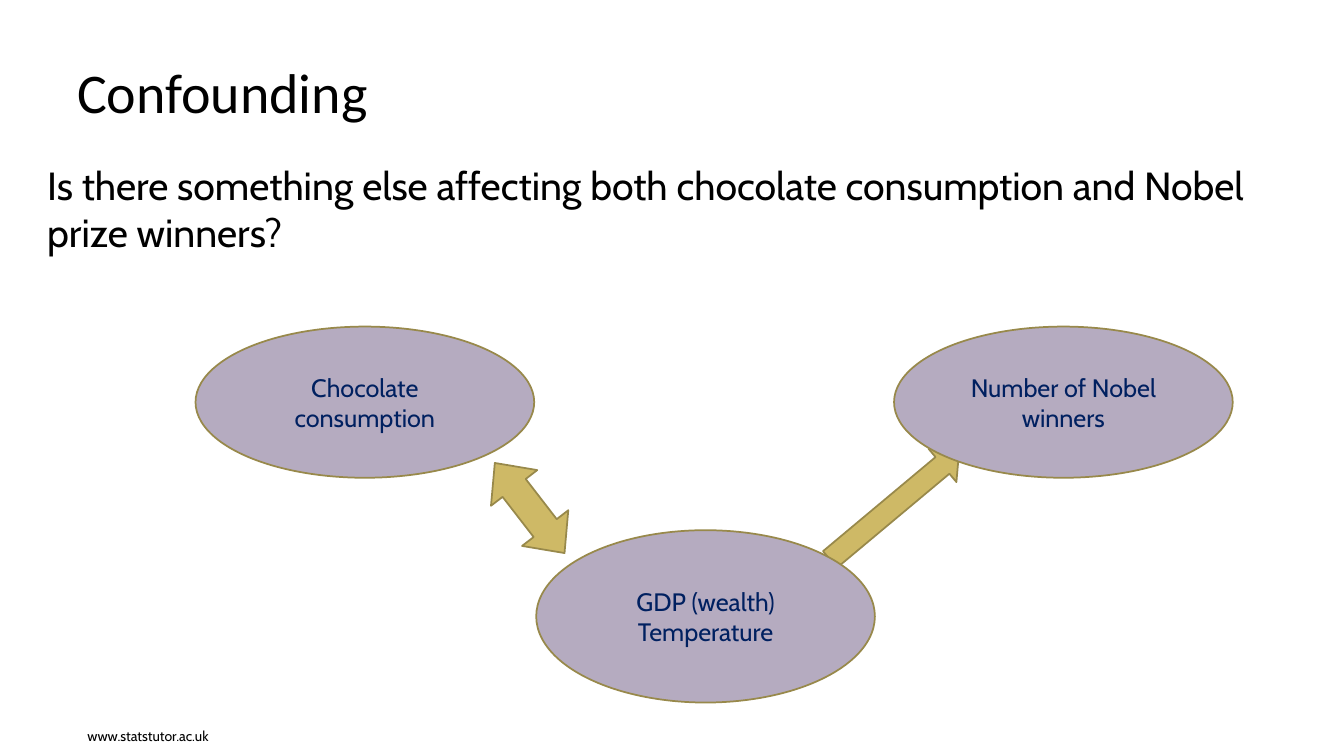
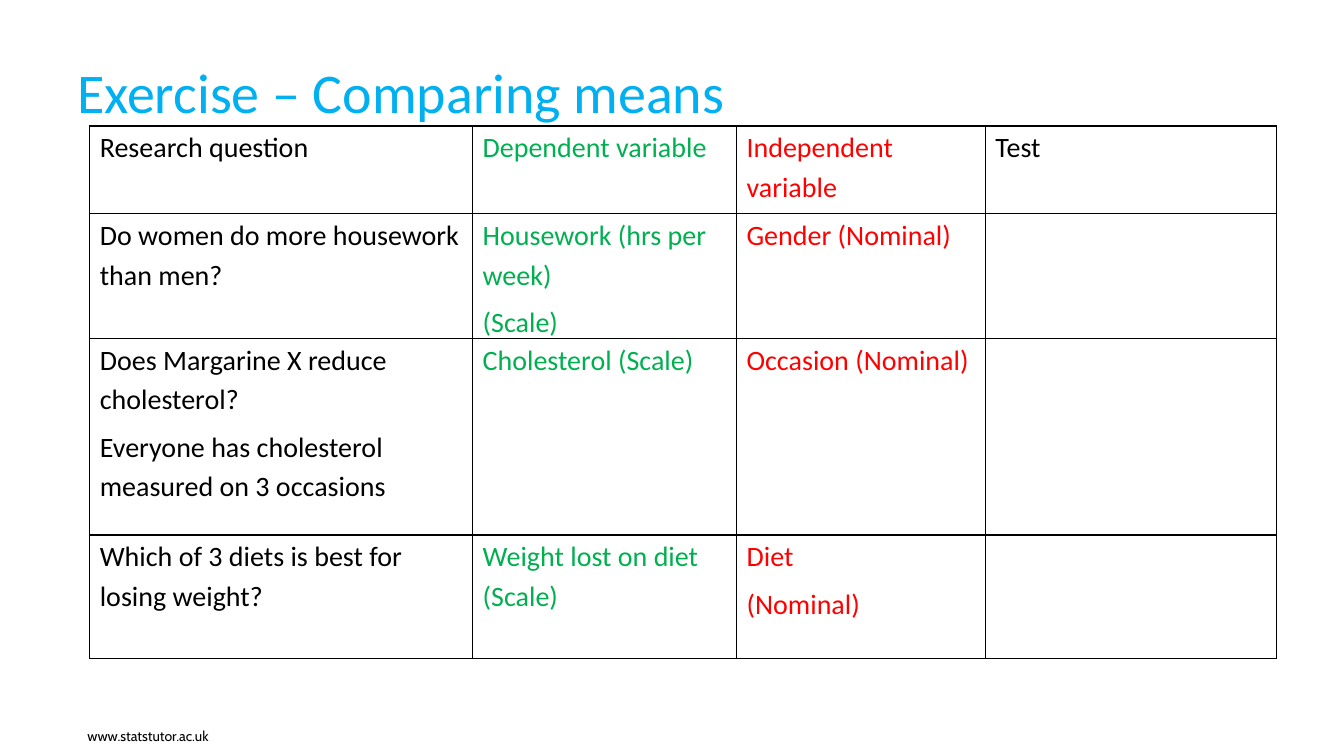
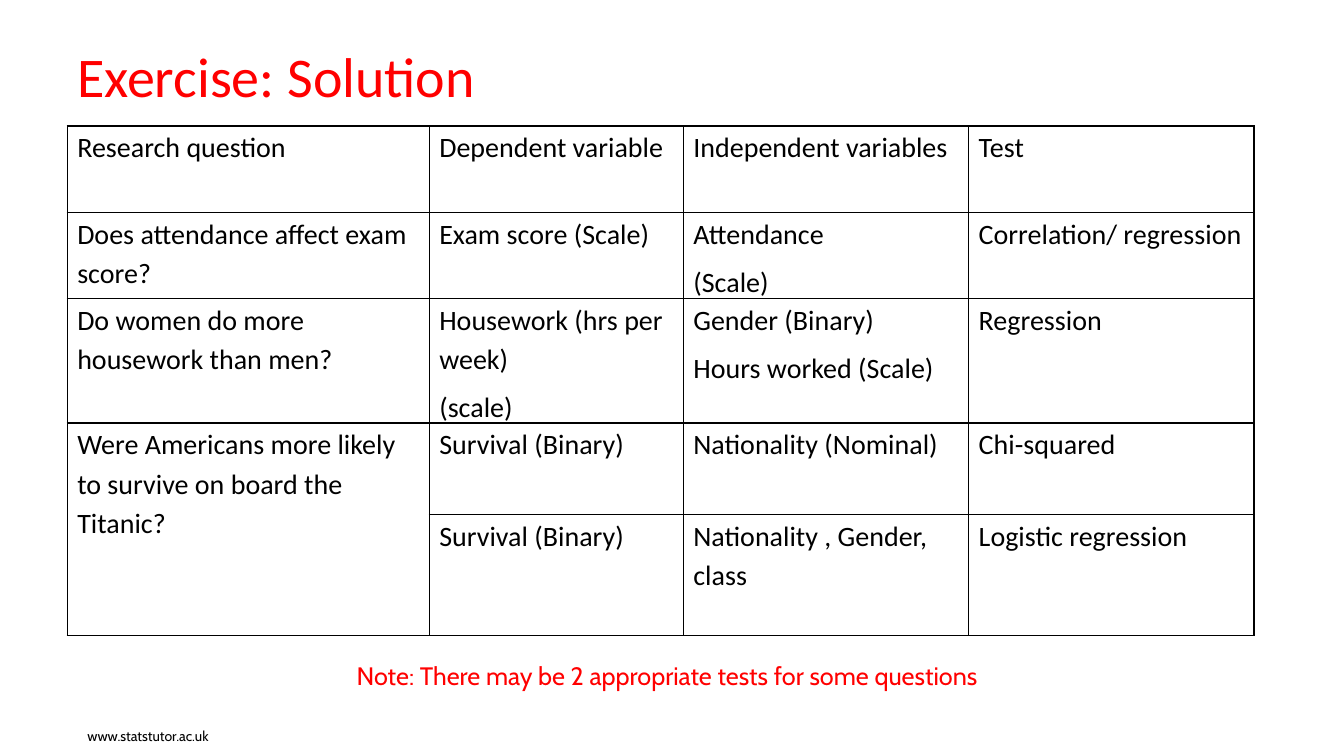
"""Build three slides on confounding and on choosing statistical tests."""
from dataclasses import dataclass

from lxml import etree
from pptx import Presentation
from pptx.dml.color import RGBColor
from pptx.enum.shapes import MSO_SHAPE
from pptx.enum.text import MSO_ANCHOR, PP_ALIGN
from pptx.oxml.ns import qn
from pptx.util import Emu, Inches, Pt

OVAL = MSO_SHAPE.OVAL
ARROW = MSO_SHAPE.RIGHT_ARROW
DOUBLE = MSO_SHAPE.LEFT_RIGHT_ARROW
TOP, MIDDLE, BOTTOM = MSO_ANCHOR.TOP, MSO_ANCHOR.MIDDLE, MSO_ANCHOR.BOTTOM
LEFT, CENTER, RIGHT = PP_ALIGN.LEFT, PP_ALIGN.CENTER, PP_ALIGN.RIGHT

COLS, ROWS = 160, 90
UNIT = Inches(1) / 12


@dataclass(frozen=True)
class Theme:
    """Colours, fonts and type sizes of the deck."""
    ink: str = "000000"
    paper: str = "FFFFFF"
    sky: str = "00B0F0"
    red: str = "FF0000"
    green: str = "00B050"
    navy: str = "002060"
    mauve: str = "B5ABC0"
    gold: str = "CEB966"
    edge: str = "98894B"
    head: tuple = ("Calibri", 40)
    lead: tuple = ("Cabin", 28)
    grid: tuple = ("Calibri", 20)
    label: tuple = ("Cabin", 18)
    foot: tuple = ("Cabin", 10)


T = Theme()
CELL = {"line_spacing": 1.15, "space_after": Pt(6)}


def units(*vals):
    """Turn grid units into lengths."""
    return [Emu(round(val * UNIT)) for val in vals]


def rgb(hue):
    """Turn a hex string into a colour."""
    return RGBColor.from_string(hue)


def apply(item, form):
    """Set each format value on the item."""
    for key, val in form.items():
        setattr(item, key, val)


def write(frame, text, face, hue, form):
    """Write one paragraph for each line of the text."""
    frame.word_wrap = True
    for i, line in enumerate(text.split("\n")):
        para = frame.add_paragraph() if i else frame.paragraphs[0]
        apply(para, form)
        run = para.add_run()
        run.text = line
        apply(run.font, {"name": face[0], "size": Pt(face[1])})
        run.font.color.rgb = rgb(hue)


def label(slide, box, text, face, hue, align=LEFT, anchor=TOP):
    """Add a text box that fills the given box."""
    shape = slide.shapes.add_textbox(*units(*box))
    write(shape.text_frame, text, face, hue, {"alignment": align})
    shape.text_frame.vertical_anchor = anchor
    return shape


def figure(slide, kind, box, fill, turn=0):
    """Add an outlined shape, turned by some degrees."""
    shape = slide.shapes.add_shape(kind, *units(*box))
    shape.shadow.inherit = False
    shape.rotation = turn
    shape.fill.solid()
    shape.fill.fore_color.rgb = rgb(fill)
    shape.line.color.rgb = rgb(T.edge)
    shape.line.width = Pt(1.25)
    return shape


def oval(slide, box, text):
    """Add an oval with centred text."""
    frame = figure(slide, OVAL, box, T.mauve).text_frame
    frame.vertical_anchor = MIDDLE
    write(frame, text, T.label, T.navy, {"alignment": CENTER})


def diagram(slide, box):
    """Draw two outcomes and their shared cause inside the box."""
    left, top, width, height = box
    wide, high, deep = 40.32, 18, 20.52
    oval(slide, (left, top, wide, high), "Chocolate consumption")
    figure(slide, ARROW, (left + 73.2, top + 18.72, 20.04, 5.16), T.gold, 320.1)
    oval(slide, (left + width - wide, top, wide, high), "Number of Nobel winners")
    oval(slide, (left + 40.56, top + height - deep, wide, deep),
         "GDP (wealth)\nTemperature")
    link = figure(slide, DOUBLE, (left + 33, top + 18.12, 13.56, 6.96), T.gold, 52.3)
    link.adjustments[0], link.adjustments[1] = 0.5, 0.54


def border(cell):
    """Draw a thin line on all four sides of a cell."""
    props = cell._tc.get_or_add_tcPr()
    for i, side in enumerate(("lnL", "lnR", "lnT", "lnB")):
        line = etree.Element(qn("a:" + side), w=str(Pt(1)))
        fill = etree.SubElement(line, qn("a:solidFill"))
        etree.SubElement(fill, qn("a:srgbClr"), val=T.ink)
        props.insert(i, line)


def matrix(slide, box, wide, high, data, hues):
    """Fill the box with a table; wide and high are shares of its sides."""
    shape = slide.shapes.add_table(len(high), len(wide), *units(*box))
    table = shape.table
    apply(table, {"first_row": False, "horz_banding": False})
    for col, part in zip(table.columns, wide):
        col.width = units(box[2] * part / sum(wide))[0]
    for row, part in zip(table.rows, high):
        row.height = units(box[3] * part / sum(high))[0]
    for r, line in enumerate(data):
        for c, text in enumerate(line):
            cell = table.cell(r, c)
            apply(cell, {"margin_top": 0, "margin_bottom": 0})
            cell.fill.solid()
            cell.fill.fore_color.rgb = rgb(T.paper)
            border(cell)
            if text:
                write(cell.text_frame, text, T.grid, hues[c], CELL)
    return table


def page(deck, title, hue, top=6.24):
    """Add a blank slide with the shared title and footer."""
    slide = deck.slides.add_slide(deck.slide_layouts[6])
    label(slide, (8, top, 149, 10), title, T.head, hue)
    label(slide, (0, 85, 26, 4.2), "www.statstutor.ac.uk", T.foot, T.ink,
          RIGHT, BOTTOM)
    return slide


def confound(deck):
    """Build the slide on confounding."""
    slide = page(deck, "Confounding", T.ink)
    label(slide, (4.44, 18.6, 152.4, 14),
          "Is there something else affecting both chocolate consumption "
          "and Nobel prize winners?", T.lead, T.ink)
    diagram(slide, (23.28, 38.88, 123.48, 44.76))


def compare(deck):
    """Build the exercise slide."""
    slide = page(deck, "Exercise – Comparing means", T.sky)
    data = [
        ("Research question", "Dependent variable", "Independent variable", "Test"),
        ("Do women do more housework than men?",
         "Housework (hrs per week)\n(Scale)", "Gender (Nominal)", ""),
        ("Does Margarine X reduce cholesterol?\n"
         "Everyone has cholesterol measured on 3 occasions",
         "Cholesterol (Scale)", "Occasion (Nominal)", ""),
        ("Which of 3 diets is best for losing weight?",
         "Weight lost on diet (Scale)", "Diet\n(Nominal)", ""),
    ]
    matrix(slide, (10.68, 15, 141.3, 63.2), (3.8, 2.62, 2.47, 2.89),
           (0.87, 1.22, 1.95, 1.22), data, (T.ink, T.green, T.red, T.ink))


def solve(deck):
    """Build the solution slide."""
    slide = page(deck, "Exercise: Solution", T.red, 4.32)
    data = [
        ("Research question", "Dependent variable", "Independent variables", "Test"),
        ("Does attendance affect exam score?", "Exam score (Scale)",
         "Attendance\n(Scale)", "Correlation/ regression"),
        ("Do women do more housework than men?",
         "Housework (hrs per week)\n(scale)",
         "Gender (Binary)\nHours worked (Scale)", "Regression"),
        ("Were Americans more likely to survive on board the Titanic?",
         "Survival (Binary)", "Nationality (Nominal)", "Chi-squared"),
        ("", "Survival (Binary)", "Nationality , Gender, class",
         "Logistic regression"),
    ]
    table = matrix(slide, (8, 15, 141.3, 59.7), (3.59, 2.52, 2.83, 2.83),
                   (0.86, 0.8, 1.2, 0.91, 1.2), data, (T.ink,) * 4)
    table.cell(3, 0).merge(table.cell(4, 0))
    note = label(slide, (41.28, 78, 118.72, 4.8),
                 "Note: There may be 2 appropriate tests for some questions",
                 T.label, T.red)
    note.fill.solid()
    note.fill.fore_color.rgb = rgb(T.paper)


def main():
    """Build and save the deck."""
    deck = Presentation()
    deck.slide_width, deck.slide_height = units(COLS, ROWS)
    for build in (confound, compare, solve):
        build(deck)
    deck.save("out.pptx")


if __name__ == "__main__":
    main()
